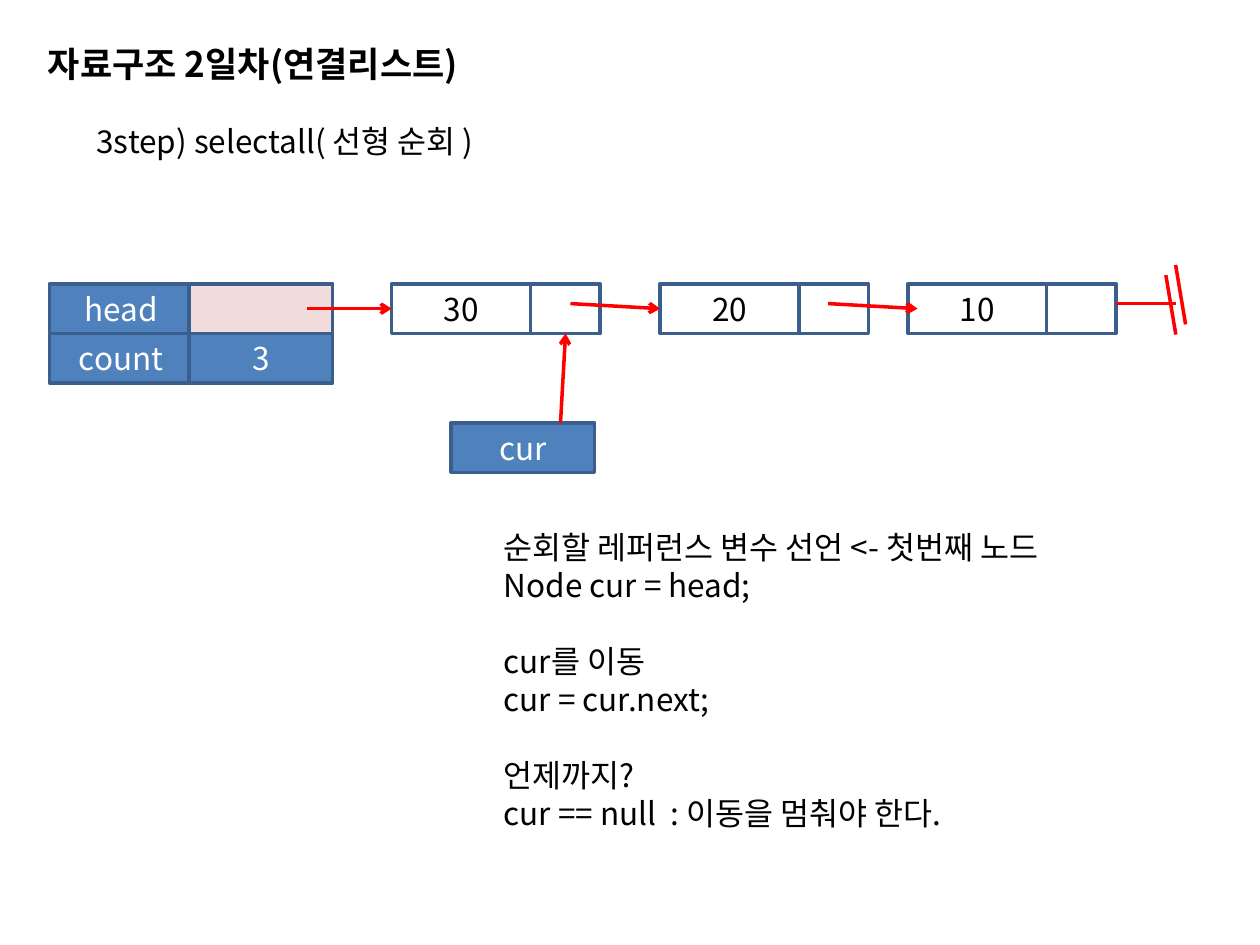
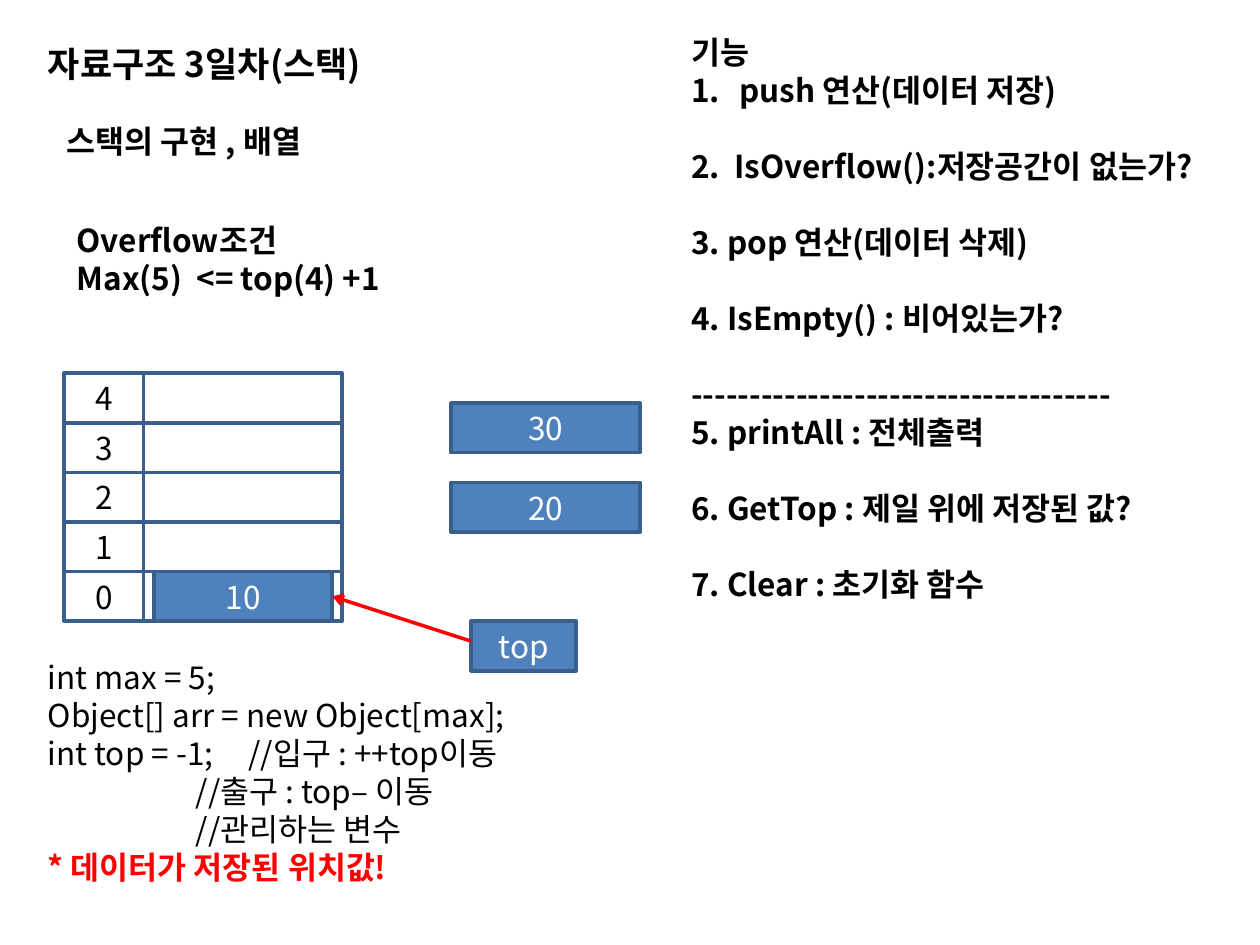
from lxml.etree import SubElement
from pptx import Presentation
from pptx.dml.color import RGBColor
from pptx.enum.shapes import MSO_CONNECTOR, MSO_SHAPE
from pptx.enum.text import MSO_ANCHOR as Anchor, MSO_AUTO_SIZE as AutoSize, PP_ALIGN as Align
from pptx.oxml.ns import qn
from pptx.util import Pt

FONT = "Noto Sans CJK KR"
COLORS = {"text": "000000", "white": "FFFFFF", "blue": "4F81BD",
          "border": "3A5F8C", "pink": "F2DCDB", "red": "FF0000"}
BODY = {"size": Pt(18), "bold": False, "color": "text"}
BOLD = {**BODY, "bold": True}
TITLE = {**BOLD, "size": Pt(20)}
ALERT = {**BOLD, "color": "red"}
LINE_PITCH = 21.7
ROW = 28.35
HANGING = 27.4


def color(name):
    return RGBColor.from_string(COLORS[name])


def write(paragraph, text, style):
    """Write one run in the given style."""
    run = paragraph.add_run()
    run.text = text
    font = run.font
    font.color.rgb = color(style["color"])
    for name in ("size", "bold"):
        setattr(font, name, style[name])
    font.name = FONT
    SubElement(font._element, qn("a:ea"), typeface=FONT)


def number(paragraph):
    """Turn a paragraph into a numbered item with a hanging indent."""
    properties = paragraph._p.get_or_add_pPr()
    properties.set("marL", str(Pt(HANGING)))
    properties.set("indent", str(-Pt(HANGING)))
    SubElement(properties, qn("a:buFont"), typeface="+mj-lt")
    SubElement(properties, qn("a:buAutoNum"), type="arabicPeriod")


def add_title(slide, text):
    title = slide.shapes.title
    box = {"left": 20.2, "top": 20.9, "width": 471, "height": 31.5}
    for name, value in box.items():
        setattr(title, name, Pt(value))
    frame = title.text_frame
    frame.word_wrap = True
    frame.auto_size = AutoSize.NONE
    frame.vertical_anchor = Anchor.TOP
    paragraph = frame.paragraphs[0]
    paragraph.alignment = Align.LEFT
    paragraph.line_spacing = Pt(24)
    write(paragraph, text, TITLE)


def add_text(slide, left, top, width, height, groups, style=BODY, numbered=(), special=None):
    """Write groups of lines, with one line of space between groups."""
    frame = slide.shapes.add_textbox(Pt(left), Pt(top), Pt(width), Pt(height)).text_frame
    frame.word_wrap = True
    paragraph = None
    for group in groups:
        for index, line in enumerate(group):
            starts_group = paragraph is not None and index == 0
            paragraph = frame.paragraphs[0] if paragraph is None else frame.add_paragraph()
            paragraph.line_spacing = Pt(LINE_PITCH)
            paragraph.space_before = Pt(LINE_PITCH if starts_group else 0)
            if line in numbered:
                number(paragraph)
            write(paragraph, line, (special or {}).get(line, style))


def add_cell(slide, left, top, width, text="", fill="blue", text_color="white"):
    cell = slide.shapes.add_shape(MSO_SHAPE.RECTANGLE, Pt(left), Pt(top), Pt(width), Pt(ROW))
    cell.shadow.inherit = False
    if fill:
        cell.fill.solid()
        cell.fill.fore_color.rgb = color(fill)
    else:
        cell.fill.background()
    cell.line.color.rgb = color("border")
    cell.line.width = Pt(2)
    if text:
        frame = cell.text_frame
        frame.vertical_anchor = Anchor.MIDDLE
        paragraph = frame.paragraphs[0]
        paragraph.alignment = Align.CENTER
        write(paragraph, text, {**BODY, "color": text_color})


def add_line(slide, start, end, arrow=True):
    points = [Pt(value) for value in (*start, *end)]
    connector = slide.shapes.add_connector(MSO_CONNECTOR.STRAIGHT, *points)
    connector.line.color.rgb = color("red")
    connector.line.width = Pt(2)
    if arrow:
        SubElement(connector.line._get_or_add_ln(), qn("a:tailEnd"), type="arrow")
    SubElement(connector._element.spPr, qn("a:effectLst"))


def add_list_header(slide, left, top):
    """Draw the head and count fields."""
    for row, (name, value, fill) in enumerate([("head", "", "pink"), ("count", "3", "blue")]):
        add_cell(slide, left, top + row * ROW, 82, name)
        add_cell(slide, left + 79.8, top + row * ROW, 82, value, fill)


def add_node(slide, left, top, value):
    """Draw a node: its value and its link field."""
    add_cell(slide, left, top, 79.4, value, None, "text")
    add_cell(slide, left + 79.4, top, 39.7, fill=None)


def add_list_end(slide, left, top):
    """Draw the double stroke that stands for null."""
    add_line(slide, (left, top + 11.3), (left + 34, top + 11.3), arrow=False)
    for x, y in [(28.4, -5), (34, -10.8)]:
        add_line(slide, (left + x, top + y), (left + x + 5.7, top + y + 34), arrow=False)


def add_array(slide, left, top, size):
    """Draw an array with its highest index on top."""
    for row in range(size):
        y = top + row * ROW
        add_cell(slide, left + 45.4, y, 113.4, fill=None)
        add_cell(slide, left, y, 45.4, str(size - 1 - row), "white", "text")


def build_linked_list(slide):
    add_title(slide, "자료구조 2일차(연결리스트)")
    add_text(slide, 48.1, 66.2, 232, 51, [["3step) selectall( 선형 순회 )"]])

    # Linked list
    top = 162.2
    add_list_header(slide, 28.3, top)
    for left, value in [(223.8, "30"), (377.2, "20"), (518.7, "10")]:
        add_node(slide, left, top, value)
    middle = top + ROW / 2
    for start, end in [((175.7, middle), (223.8, middle)),
                       ((326, top + 11.3), (377.2, middle)),
                       ((473.2, top + 11.3), (524.3, middle))]:
        add_line(slide, start, end)
    add_list_end(slide, 637.8, top)

    # Cursor
    add_text(slide, 280.8, 298, 380, 204, [
        ["순회할 레퍼런스 변수 선언 <- 첫번째 노드", "Node cur = head;"],
        ["cur를 이동", "cur = cur.next;"],
        ["언제까지?", "cur == null  : 이동을 멈춰야 한다."]])
    add_cell(slide, 257.8, 241.6, 82, "cur")
    add_line(slide, (320.3, 241.6), (323.2, top + ROW))


def build_stack(slide):
    add_title(slide, "자료구조 3일차(스택)")
    add_text(slide, 30.9, 66.2, 200, 29, [["스택의 구현 , 배열"]], BOLD)
    add_text(slide, 36.7, 122.4, 230, 51, [["Overflow조건", "Max(5)  <= top(4) +1"]], BOLD)

    # Stored and waiting values
    array_top = 213.3
    add_cell(slide, 87.9, array_top + 4 * ROW, 102, "10")
    for top, value in [(230.4, "30"), (275.8, "20")]:
        add_cell(slide, 257.8, top, 108, value)
    add_array(slide, 36.7, array_top, 5)

    # Top marker
    add_cell(slide, 269.2, 355, 60, "top")
    add_line(slide, (269.2, 366.4), (189.9, 340.8))

    # Fields of the class
    warning = "* 데이터가 저장된 위치값!"
    add_text(slide, 20.2, 372.2, 320, 138, [[
        "int max = 5;",
        "Object[] arr = new Object[max];",
        "int top = -1;     //입구 : ++top이동",
        "                     //출구 : top– 이동",
        "                     //관리하는 변수",
        warning]], special={warning: ALERT})

    # Operations
    push = "push 연산(데이터 저장)"
    add_text(slide, 388, 15.2, 324, 334, [
        ["기능", push],
        ["2.  IsOverflow():저장공간이 없는가?"],
        ["3. pop 연산(데이터 삭제)"],
        ["4. IsEmpty() : 비어있는가?"],
        ["-" * 36, "5. printAll : 전체출력"],
        ["6. GetTop : 제일 위에 저장된 값?"],
        ["7. Clear : 초기화 함수"]], BOLD, numbered=[push])


def main():
    presentation = Presentation()
    presentation.slide_width, presentation.slide_height = Pt(720), Pt(540)
    title_only = presentation.slide_layouts[5]
    for build in (build_linked_list, build_stack):
        build(presentation.slides.add_slide(title_only))
    presentation.save("out.pptx")


if __name__ == "__main__":
    main()
